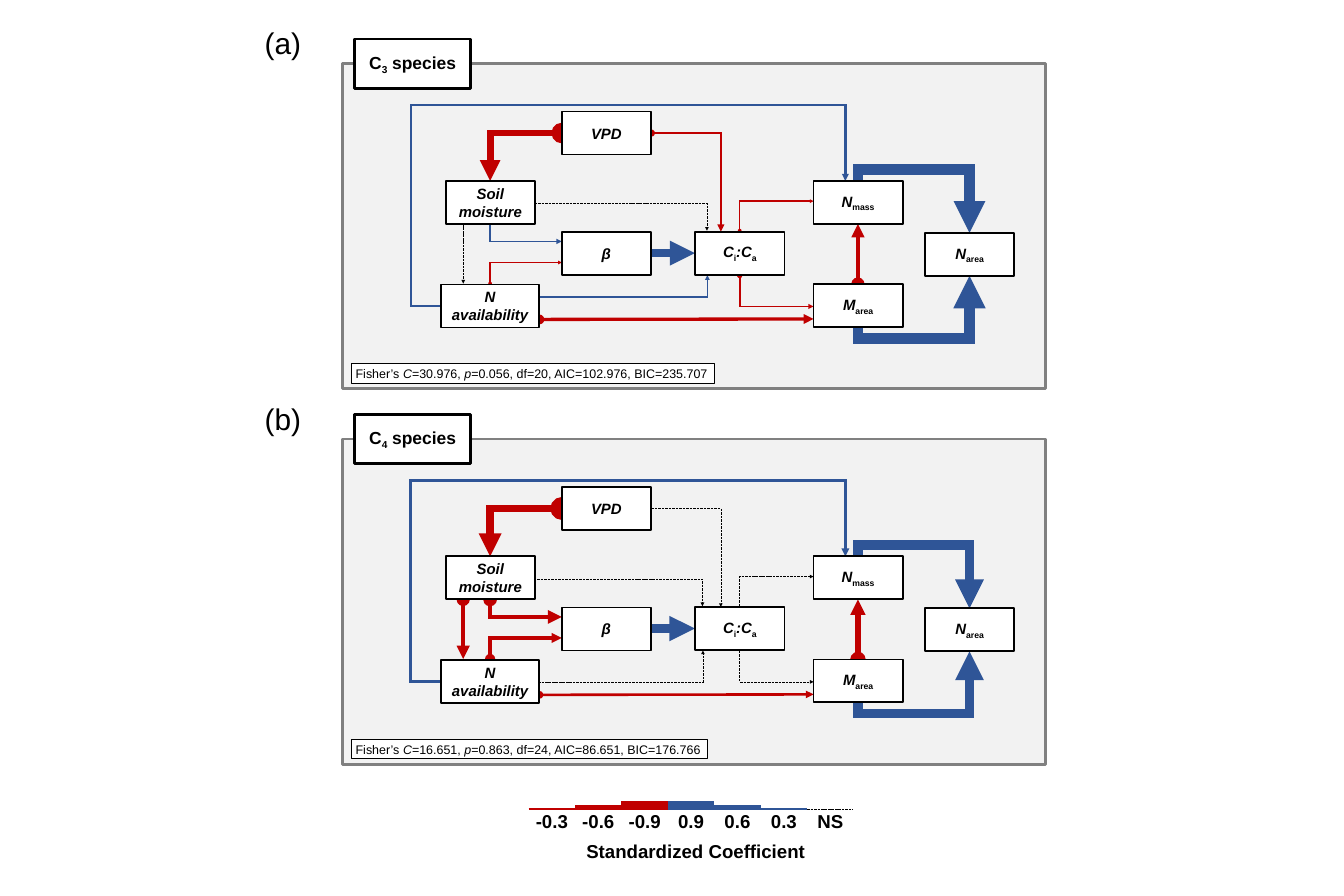
from lxml import etree
from pptx import Presentation
from pptx.dml.color import RGBColor
from pptx.enum.dml import MSO_LINE
from pptx.enum.shapes import MSO_CONNECTOR, MSO_SHAPE
from pptx.enum.text import MSO_ANCHOR, PP_ALIGN
from pptx.oxml.ns import qn
from pptx.util import Inches, Pt

RECTANGLE = MSO_SHAPE.RECTANGLE
STRAIGHT, ELBOW = MSO_CONNECTOR.STRAIGHT, MSO_CONNECTOR.ELBOW
LONG_DASH = MSO_LINE.LONG_DASH
LEFT, CENTER = PP_ALIGN.LEFT, PP_ALIGN.CENTER
TOP, MIDDLE = MSO_ANCHOR.TOP, MSO_ANCHOR.MIDDLE
BLACK, WHITE, GRAY, PALE = "000000", "FFFFFF", "808080", "F2F2F2"
NEGATIVE, POSITIVE = "C00000", "2F5597"

# Variables of the path model: left, top, width and text runs
BOX_HEIGHT = 0.96
VARIABLES = [
    (12.54, 2.49, 1.99, ["VPD"]),
    (9.95, 4.04, 1.99, ["Soil moisture"]),
    (9.84, 6.35, 2.2, ["N availability"]),
    (12.54, 5.18, 1.99, ["β"]),
    (15.52, 5.17, 1.99, ["C", ("i", "sub"), ":C", ("a", "sub")]),
    (18.16, 4.04, 1.99, ["N", ("mass", "sub")]),
    (18.16, 6.34, 1.99, ["M", ("area", "sub")]),
    (20.65, 5.2, 1.99, ["Ν", ("area", "sub")]),
]

# Corner points of each path, placed for the first panel
ROUTES = {
    "VPD > soil": [(12.54, 2.97), (10.94, 2.97), (10.94, 4.04)],
    "VPD > Ci:Ca": [(14.54, 2.97), (16.09, 2.97), (16.09, 5.17)],
    "soil > N": [(10.34, 5), (10.34, 6.33)],
    "soil > β": [(10.94, 5), (10.94, 5.39), (12.54, 5.39)],
    "N > β": [(10.94, 6.33), (10.94, 5.86), (12.54, 5.86)],
    "N > Marea": [(12.04, 7.13), (18.16, 7.12)],
    "N > Nmass": [(10.5, 6.83), (9.17, 6.83), (9.17, 2.34), (18.87, 2.34), (18.87, 4.04)],
    "β > Ci:Ca": [(14.53, 5.65), (15.51, 5.65)],
    "Ci:Ca > Nmass": [(16.51, 5.15), (16.51, 4.49), (18.16, 4.49)],
    "Ci:Ca > Marea": [(16.51, 6.15), (16.51, 6.84), (18.16, 6.84)],
    "Marea > Nmass": [(19.15, 6.34), (19.15, 5)],
    "Nmass > Narea": [(19.15, 4.04), (19.15, 3.79), (21.64, 3.79), (21.64, 5.2)],
    "Marea > Narea": [(19.15, 7.3), (19.15, 7.55), (21.64, 7.55), (21.64, 6.16)],
}

# Effects are signed line weights in points; 0 is not significant
PANELS = [
    {
        "letter": "(a)", "carbon": "3",
        "fit": ("=30.976, ", "=0.056, df=20, AIC=102.976, BIC=235.707"), "fit_width": 8.11,
        "routes": {
            "soil > Ci:Ca": [(11.78, 4.54), (15.78, 4.54), (15.78, 5.15)],
            "N > Ci:Ca": [(12.05, 6.63), (15.79, 6.63), (15.79, 6.14)],
        },
        "effects": {
            "VPD > soil": -11.11, "VPD > Ci:Ca": -3.83, "soil > N": 0, "soil > β": 2.96,
            "soil > Ci:Ca": 0, "N > β": -1.96, "N > Ci:Ca": 2.57, "N > Marea": -5.34,
            "N > Nmass": 3.77, "β > Ci:Ca": 13.35, "Ci:Ca > Nmass": -2,
            "Ci:Ca > Marea": -2.84, "Marea > Nmass": -7.13, "Nmass > Narea": 17,
            "Marea > Narea": 17.35,
        },
    },
    {
        "letter": "(b)", "carbon": "4",
        "fit": ("=16.651, ", "=0.863, df=24, AIC=86.651, BIC=176.766"), "fit_width": 7.95,
        "routes": {
            "soil > Ci:Ca": [(11.68, 4.54), (15.68, 4.54), (15.68, 5.15)],
            "N > Ci:Ca": [(11.62, 6.84), (15.69, 6.84), (15.69, 6.14)],
        },
        "effects": {
            "VPD > soil": -12.38, "VPD > Ci:Ca": 0, "soil > N": -7.15, "soil > β": -7.43,
            "soil > Ci:Ca": 0, "N > β": -5.47, "N > Ci:Ca": 0, "N > Marea": -4.16,
            "N > Nmass": 4.25, "β > Ci:Ca": 13.7, "Ci:Ca > Nmass": 0,
            "Ci:Ca > Marea": 0, "Marea > Nmass": -8.32, "Nmass > Narea": 15.47,
            "Marea > Narea": 15.4,
        },
    },
]
PANEL_PITCH = 8.38

LEGEND = [("-0.3", -2.75), ("-0.6", -6.5), ("-0.9", -13), ("0.9", 13),
          ("0.6", 6.5), ("0.3", 2.75), ("NS", 0)]
LEGEND_LEFT, LEGEND_RIGHT, LEGEND_BASE = 11.8, 19.05, 18.07


def rgb(color):
    return RGBColor.from_string(color)


def write(shape, runs, size=24, bold=False, italic=False, align=CENTER, anchor=MIDDLE, wrap=True):
    frame = shape.text_frame
    frame.word_wrap, frame.vertical_anchor = wrap, anchor
    paragraph = frame.paragraphs[0]
    paragraph.alignment = align
    for part in runs:
        text, kind = (part, "") if isinstance(part, str) else part
        run = paragraph.add_run()
        run.text = text
        run.font.name, run.font.size, run.font.bold = "Arial", Pt(size), bold
        run.font.italic = kind == "var" or (italic and kind != "sub")
        run.font.color.rgb = rgb(BLACK)
        if kind == "sub":
            run._r.get_or_add_rPr().set("baseline", "-25000")


def box(left, top, width, height, fill=WHITE, line=BLACK, weight=3):
    shape = slide.shapes.add_shape(RECTANGLE, *map(Inches, (left, top, width, height)))
    shape.shadow.inherit = False
    shape.fill.solid()
    shape.fill.fore_color.rgb = rgb(fill)
    shape.line.color.rgb = rgb(line)
    shape.line.width = Pt(weight)
    return shape


def label(left, top, width, height, text, **style):
    area = slide.shapes.add_textbox(*map(Inches, (left, top, width, height)))
    write(area, [text], anchor=TOP, **style)


def bend(connector, points):
    """Shape an elbow connector so that it runs through the corner points."""
    (x0, y0), (x1, y1), (x2, y2) = points[:3]
    xn, yn = points[-1]
    dx, dy = xn - x0, yn - y0
    if x0 == x1:  # leaves vertically: the frame is turned a quarter
        width, height = abs(dy), abs(dx)
        turn, flip_h, flip_v = (270, True, False) if dy > 0 else (90, True, True)
        ratios = [(y1 - y0) / dy, (x2 - x0) / dx]
    else:
        width, height = abs(dx), abs(dy)
        turn, flip_h, flip_v = (0, False, dy < 0) if dx > 0 else (180, False, dy > 0)
        ratios = [(x1 - x0) / dx, (y2 - y0) / dy]
    connector.left = Inches((x0 + xn - width) / 2)
    connector.top = Inches((y0 + yn - height) / 2)
    connector.width, connector.height = Inches(width), Inches(height)
    properties = connector._element.spPr
    frame = properties.find(qn("a:xfrm"))
    for key, value in (("rot", turn * 60000), ("flipH", int(flip_h)), ("flipV", int(flip_v))):
        frame.set(key, str(value))
    geometry = properties.find(qn("a:prstGeom"))
    geometry.set("prst", f"bentConnector{len(points) - 1}")
    guides = geometry.find(qn("a:avLst"))
    for number, ratio in enumerate(ratios[:len(points) - 3], 1):
        etree.SubElement(guides, qn("a:gd"), name=f"adj{number}",
                         fmla=f"val {round(ratio * 100000)}")


def path(points, effect, arrow=True):
    kind = STRAIGHT if len(points) == 2 else ELBOW
    connector = slide.shapes.add_connector(kind, *map(Inches, points[0] + points[-1]))
    if kind == ELBOW:
        bend(connector, points)
    line = connector.line
    line.color.rgb = rgb(NEGATIVE if effect < 0 else POSITIVE if effect else BLACK)
    line.width = Pt(abs(effect) or 0.5)
    if not effect:
        line.dash_style = LONG_DASH
    outline = connector._element.spPr.find(qn("a:ln"))
    etree.SubElement(outline, qn("a:miter"), lim="800000")
    if arrow:
        if effect < 0:
            etree.SubElement(outline, qn("a:headEnd"), type="oval")
        etree.SubElement(outline, qn("a:tailEnd"), type="triangle")
    etree.SubElement(connector._element.spPr, qn("a:effectLst"))


presentation = Presentation()
presentation.slide_width, presentation.slide_height = Inches(30), Inches(20)
slide = presentation.slides.add_slide(presentation.slide_layouts[6])

# Path diagrams
for index, panel in enumerate(PANELS):
    shift = index * PANEL_PITCH
    box(7.64, 1.42 + shift, 15.7, 7.26, fill=PALE, line=GRAY, weight=4.5)
    routes = ROUTES | panel["routes"]
    for name, effect in panel["effects"].items():
        path([(x, y + shift) for x, y in routes[name]], effect)
    for left, top, width, runs in VARIABLES:
        write(box(left, top + shift, width, BOX_HEIGHT), runs, bold=True, italic=True)

    # Panel heading, model fit and letter
    write(box(7.92, 0.87 + shift, 2.58, 1.1, weight=4.5),
          ["C", (panel["carbon"], "sub"), " species"], size=28, bold=True)
    c_value, other_values = panel["fit"]
    write(box(7.84, 8.12 + shift, panel["fit_width"], 0.44, weight=1.5),
          ["Fisher’s ", ("C", "var"), c_value, ("p", "var"), other_values],
          size=20, align=LEFT, wrap=False)
    label(5.81, 0.51 + shift, 1.03, 0.91, panel["letter"], size=48, align=LEFT, wrap=False)

# Legend: line weights stand on one base line
step = (LEGEND_RIGHT - LEGEND_LEFT) / len(LEGEND)
for index, (coefficient, effect) in enumerate(LEGEND):
    left = LEGEND_LEFT + index * step
    middle = LEGEND_BASE - abs(effect) / 144
    path([(left, middle), (left + step, middle)], effect, arrow=False)
    label(left, 18.03, step, 0.61, coefficient, size=30, bold=True)
label(12.96, 18.69, 5.14, 0.61, "Standardized Coefficient", size=30, bold=True, wrap=False)

presentation.save("out.pptx")
